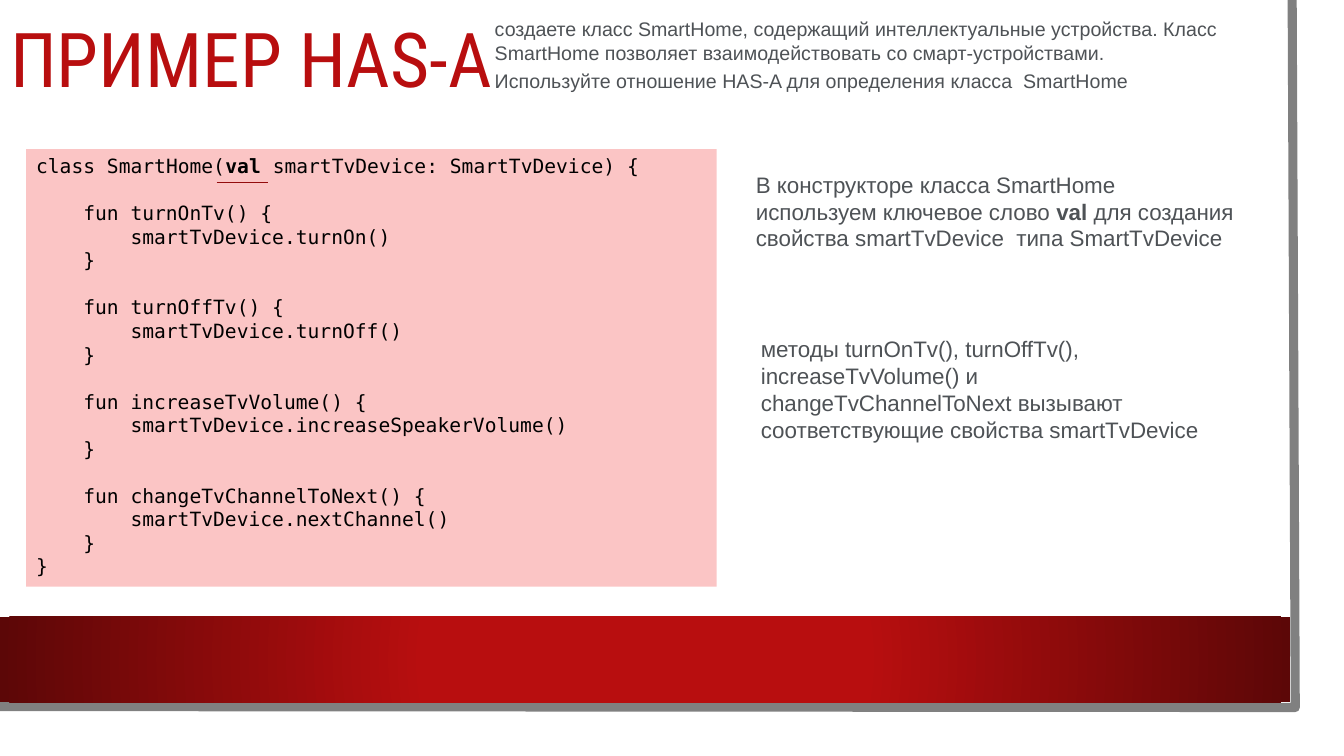
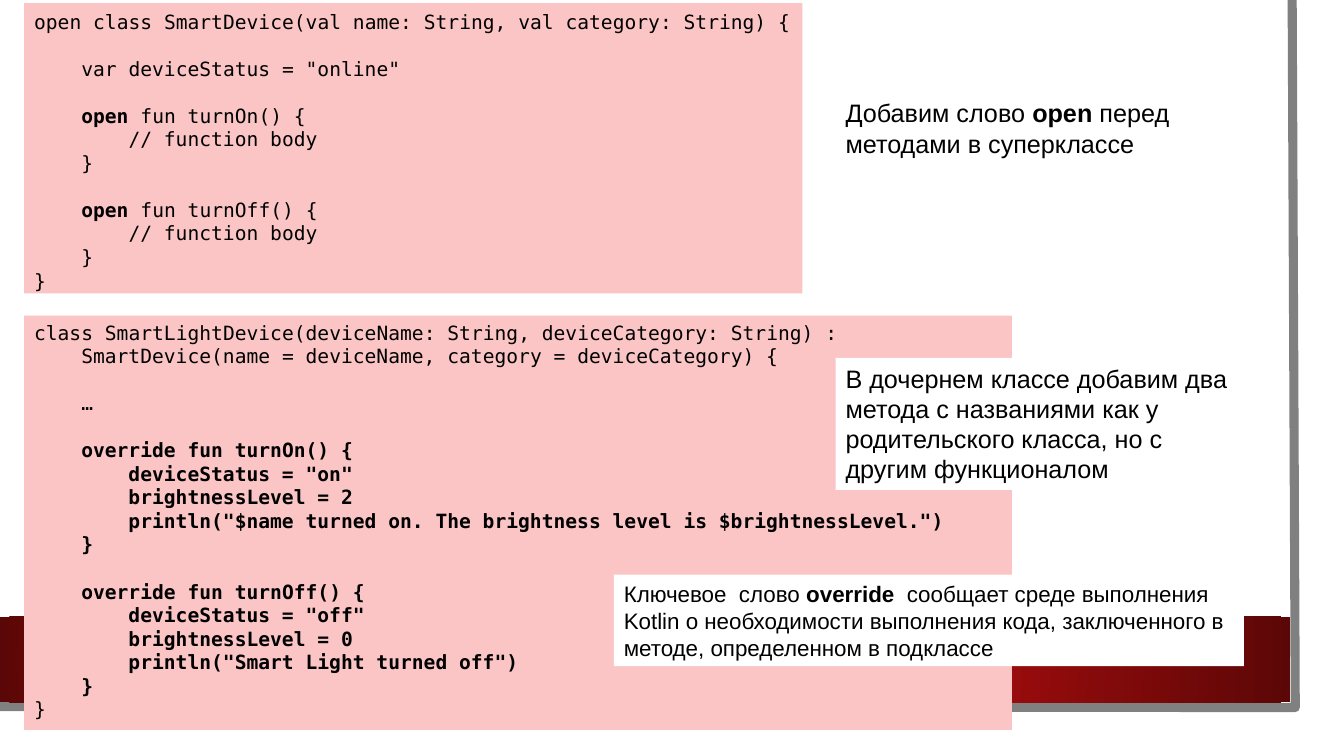
from dataclasses import dataclass

from lxml.etree import SubElement
from pptx import Presentation
from pptx.dml.color import RGBColor
from pptx.enum.shapes import MSO_CONNECTOR, MSO_SHAPE
from pptx.enum.text import MSO_ANCHOR, MSO_AUTO_SIZE, PP_ALIGN
from pptx.oxml import parse_xml
from pptx.oxml.ns import nsdecls, qn
from pptx.util import Pt

RED = RGBColor(0xB8, 0x0E, 0x0F)
DARK_RED = RGBColor(0x5C, 0x07, 0x07)
RULE_RED = RGBColor(0x93, 0x0B, 0x0C)
PINK = RGBColor(0xFB, 0xC5, 0xC5)
GREY = RGBColor(0x80, 0x80, 0x80)
SLATE = RGBColor(0x4E, 0x52, 0x56)
BLACK = RGBColor(0, 0, 0)
WHITE = RGBColor(255, 255, 255)

TITLE_FONT = "Roboto Condensed"
BODY_FONT = "Arial"
CODE_FONT = "DejaVu Sans Mono"
CODE_SIZE = 14
CODE_ADVANCE = 0.602
LINE_FACTOR = 1.2

SMART_HOME_CODE = """class SmartHome(**val **smartTvDevice: SmartTvDevice) {

    fun turnOnTv() {
        smartTvDevice.turnOn()
    }

    fun turnOffTv() {
        smartTvDevice.turnOff()
    }

    fun increaseTvVolume() {
        smartTvDevice.increaseSpeakerVolume()
    }

    fun changeTvChannelToNext() {
        smartTvDevice.nextChannel()
    }
}"""

SMART_DEVICE_CODE = """open class SmartDevice(val name: String, val category: String) {

    var deviceStatus = "online"

    **open** fun turnOn() {
        // function body
    }

    **open** fun turnOff() {
        // function body
    }
}"""

SMART_LIGHT_CODE = """class SmartLightDevice(deviceName: String, deviceCategory: String) :
    SmartDevice(name = deviceName, category = deviceCategory) {

    …

    **override fun turnOn() {
        deviceStatus = "on"
        brightnessLevel = 2
        println("$name turned on. The brightness level is $brightnessLevel.")
    }

    override fun turnOff() {
        deviceStatus = "off"
        brightnessLevel = 0
        println("Smart Light turned off")
    }**
}"""


@dataclass
class Box:
    left: float
    top: float
    width: float
    height: float

    def inside(self, left, top, width, height):
        return Box(self.left + left, self.top + top, width, height)

    def lengths(self):
        return Pt(self.left), Pt(self.top), Pt(self.width), Pt(self.height)


SHEET = Box(0, 0, 960, 540)


def write_text(frame, text, *, font=BODY_FONT, size=16, color=BLACK,
               anchor=MSO_ANCHOR.TOP, spacing=None):
    frame.word_wrap = True
    frame.auto_size = MSO_AUTO_SIZE.NONE
    frame.vertical_anchor = anchor
    line_height = Pt(size * LINE_FACTOR)
    para, bold, gap = None, False, 0
    for line in text.split("\n"):
        if not line:
            gap += line_height
            continue
        para = frame.add_paragraph() if para else frame.paragraphs[0]
        para.alignment = PP_ALIGN.LEFT
        para.line_spacing = spacing or line_height
        para.space_before, gap = gap, 0
        content = line.lstrip()
        indent = Pt((len(line) - len(content)) * size * CODE_ADVANCE)
        properties = para._p.get_or_add_pPr()
        properties.set("marL", str(indent))
        properties.set("indent", "0")
        for index, part in enumerate(content.split("**")):
            bold = not bold if index else bold
            if part:
                span = para.add_run()
                span.text = part
                span.font.name = font
                span.font.size = Pt(size)
                span.font.bold = bold
                span.font.color.rgb = color


def draw_rectangle(page, box, fill):
    shape = page.shapes.add_shape(MSO_SHAPE.RECTANGLE, *box.lengths())
    shape.shadow.inherit = False
    shape.fill.solid()
    shape.fill.fore_color.rgb = fill
    shape.line.fill.background()
    return shape


def draw_note(page, box, text, fill=None, **style):
    if fill is None:
        note = page.shapes.add_textbox(*box.lengths())
    else:
        note = draw_rectangle(page, box, fill)
    write_text(note.text_frame, text, **style)


def draw_code(page, box, text, **style):
    frame = draw_rectangle(page, box, PINK).text_frame
    frame.margin_right = frame.margin_bottom = 0
    write_text(frame, text, font=CODE_FONT, size=CODE_SIZE, **style)


def draw_title(page, box, text):
    title = page.shapes.title
    title.left, title.top, title.width, title.height = box.lengths()
    write_text(title.text_frame, text, font=TITLE_FONT, size=54, color=RED,
               anchor=MSO_ANCHOR.MIDDLE, spacing=0.9)


def draw_rule(page, box):
    left, top, width, height = box.lengths()
    rule = page.shapes.add_connector(
        MSO_CONNECTOR.STRAIGHT, left, top, left + width, top + height)
    rule.line.color.rgb = RULE_RED
    rule.line.width = Pt(0.75)
    SubElement(rule._element.spPr, qn("a:effectLst"))


def fill_with_gradient(shape):
    shape.fill.background()
    stops = "".join(
        f'<a:gs pos="{position}"><a:srgbClr val="{color}"/></a:gs>'
        for position, color in ((34000, RED), (100000, DARK_RED)))
    gradient = parse_xml(
        f'<a:gradFill {nsdecls("a")} rotWithShape="1"><a:gsLst>{stops}</a:gsLst>'
        '<a:path path="circle">'
        '<a:fillToRect l="50000" t="50000" r="50000" b="50000"/>'
        '</a:path></a:gradFill>')
    properties = shape._element.spPr
    properties.replace(properties.find(qn("a:noFill")), gradient)


def draw_frame(page, box):
    points = [(Pt(box.left + x), Pt(box.top + y))
              for x, y in ((923, 0), (925.2, 505.4), (-2.2, 504.7))]
    builder = page.shapes.build_freeform(*points[0], scale=1.0)
    builder.add_line_segments(points[1:], close=False)
    edge = builder.convert_to_shape()
    edge.shadow.inherit = False
    edge.fill.background()
    edge.line.color.rgb = GREY
    edge.line.width = Pt(6.5)
    band = draw_rectangle(page, box.inside(0, 440.6, 921.6, 61.2), RED)
    fill_with_gradient(band)
    return edge, band


def move_to_master(deck, shapes):
    tree = deck.slide_master.shapes.element
    for position, shape in enumerate(shapes, start=2):
        shape._element.getparent().remove(shape._element)
        tree.insert(position, shape._element)


def draw_has_a_page(page, box):
    draw_title(page, box.inside(0, 0, 818.6, 90.7), "ПРИМЕР HAS-A")
    draw_note(page, box.inside(346.3, 8.6, 545.8, 42),
              "создаете класс SmartHome, содержащий интеллектуальные устройства. "
              "Класс SmartHome позволяет взаимодействовать со смарт-устройствами.",
              size=14, color=SLATE)
    draw_note(page, box.inside(346.3, 45.4, 473.8, 24.5),
              "Используйте отношение HAS-A для определения класса  SmartHome",
              size=14, color=SLATE, anchor=MSO_ANCHOR.MIDDLE)
    code_box = box.inside(18.7, 106.6, 493.2, 312.5)
    draw_code(page, code_box, SMART_HOME_CODE)
    draw_rule(page, code_box.inside(136.1, 23.7, 36.7, 0))
    draw_note(page, box.inside(532.8, 118.1, 359.3, 65.5),
              "В конструкторе класса SmartHome используем ключевое слово **val** "
              "для создания свойства smartTvDevice  типа SmartTvDevice",
              color=SLATE, anchor=MSO_ANCHOR.MIDDLE)
    draw_note(page, box.inside(536.4, 235.4, 352.1, 85),
              "методы turnOnTv(), turnOffTv(), increaseTvVolume() и "
              "changeTvChannelToNext вызывают соответствующие свойства smartTvDevice",
              color=SLATE, anchor=MSO_ANCHOR.MIDDLE)


def draw_override_page(page, box):
    draw_code(page, box.inside(17.3, 2.2, 555.8, 207.4), SMART_DEVICE_CODE,
              anchor=MSO_ANCHOR.MIDDLE)
    draw_note(page, box.inside(596.9, 66.2, 302.4, 51.1),
              "Добавим слово **open** перед методами в суперклассе", size=18)
    draw_code(page, box.inside(17.3, 225.4, 705.6, 295.9), SMART_LIGHT_CODE)
    draw_note(page, box.inside(596.9, 255.6, 302.4, 94.3),
              "В дочернем классе добавим два метода с названиями как у "
              "родительского класса, но с другим функционалом",
              fill=WHITE, size=18)
    draw_note(page, box.inside(438.5, 410.4, 450, 65.5),
              "Ключевое  слово **override**  сообщает среде выполнения Kotlin о "
              "необходимости выполнения кода, заключенного в методе, "
              "определенном в подклассе",
              fill=WHITE, anchor=MSO_ANCHOR.MIDDLE)


def main():
    deck = Presentation()
    deck.slide_width, deck.slide_height = Pt(SHEET.width), Pt(SHEET.height)
    title_only, blank = deck.slide_layouts[5], deck.slide_layouts[6]
    has_a_page = deck.slides.add_slide(title_only)
    move_to_master(deck, draw_frame(has_a_page, SHEET))
    draw_has_a_page(has_a_page, SHEET)
    draw_override_page(deck.slides.add_slide(blank), SHEET)
    deck.save("out.pptx")


if __name__ == "__main__":
    main()
